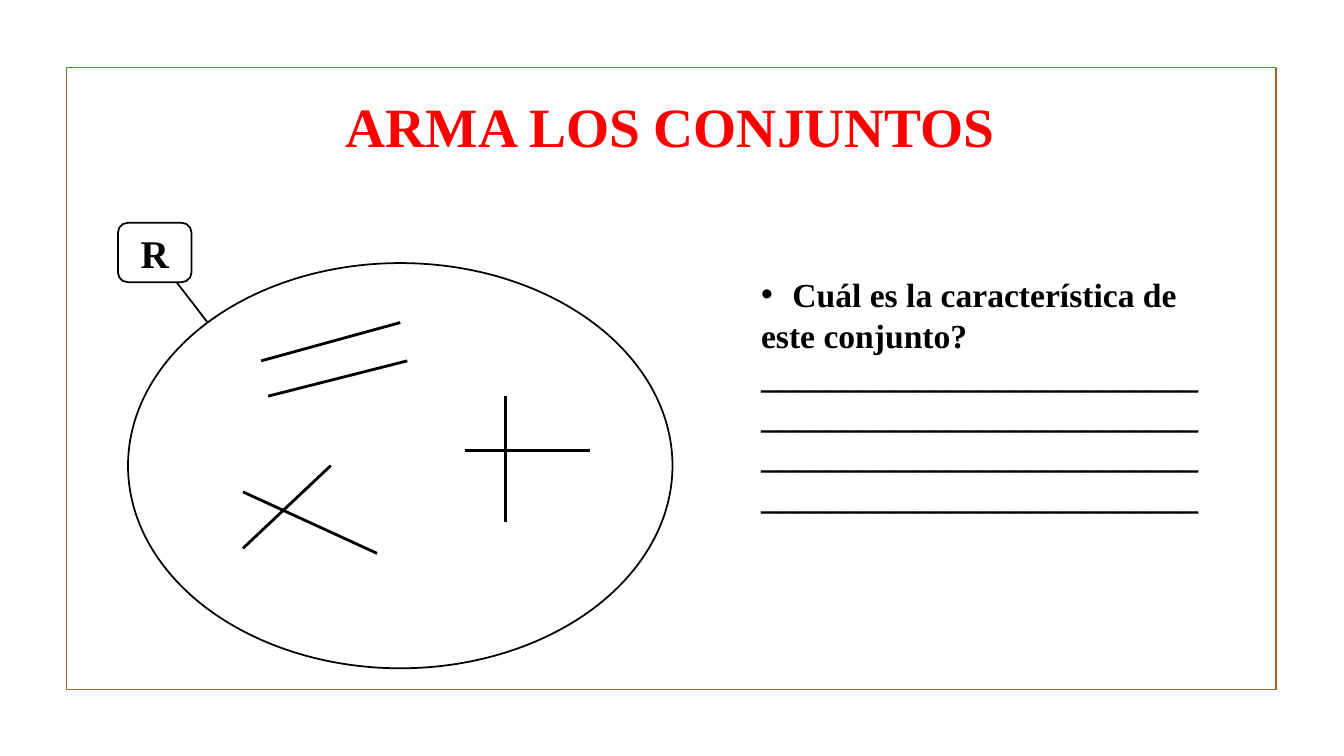
from lxml import etree
from pptx import Presentation
from pptx.dml.color import RGBColor
from pptx.enum import shapes, text
from pptx.oxml import ns
from pptx.util import Inches, Pt

FONT = "Times New Roman"
COLORS = {"frame": "B15E28", "paper": "FFFFFF", "ink": "000000", "title": "FF0000"}
BLANK_LINES = 4


def rgb(name):
    return RGBColor.from_string(COLORS[name])


def add_box(s, kind, box, line, fill="paper"):
    sp = s.shapes.add_shape(kind, *map(Inches, box))
    sp.shadow.inherit = False
    sp.fill.solid()
    sp.fill.fore_color.rgb = rgb(fill)
    sp.line.color.rgb = rgb(line)
    sp.line.width = Pt(1.25)
    return sp


def add_line(s, x1, y1, x2, y2, width):
    c = s.shapes.add_connector(shapes.MSO_CONNECTOR.STRAIGHT, *map(Inches, (x1, y1, x2, y2)))
    c.line.color.rgb = rgb("ink")
    c.line.width = Pt(width)
    etree.SubElement(c._element.spPr, ns.qn("a:effectLst"))


def style(p, size, color="ink", align=text.PP_ALIGN.LEFT):
    p.alignment = align
    for r in p.runs:
        r.font.name = FONT
        r.font.size = Pt(size)
        r.font.bold = True
        r.font.color.rgb = rgb(color)


def add_bullet(p, indent):
    pPr = p._p.get_or_add_pPr()
    pPr.set("marL", str(Inches(indent)))
    pPr.set("indent", str(Inches(-indent)))
    etree.SubElement(pPr, ns.qn("a:buFont")).set("typeface", "Arial")
    etree.SubElement(pPr, ns.qn("a:buChar")).set("char", "•")


def add_frame(s, box):
    x, y, w, h = box
    rect = shapes.MSO_SHAPE.RECTANGLE
    add_box(s, rect, box, "frame")
    add_box(s, rect, (x + 0.03, y + 0.01, w - 0.09, h - 0.03), "paper")


def add_title(s, box):
    tf = s.shapes.add_textbox(*map(Inches, box)).text_frame
    tf.word_wrap = True
    tf.vertical_anchor = text.MSO_ANCHOR.MIDDLE
    tf.text = "ARMA LOS CONJUNTOS"
    style(tf.paragraphs[0], 39.6, "title", text.PP_ALIGN.CENTER)


def add_set_diagram(s, box):
    x, y, w, h = box
    # Set outline and its label
    add_box(s, shapes.MSO_SHAPE.OVAL, (x + 0.1, y + 0.4, w - 0.1, h - 0.4), "ink")
    add_line(s, x + 0.89, y + 0.99, x + 0.52, y + 0.51, 1.25)
    label = add_box(s, shapes.MSO_SHAPE.ROUNDED_RECTANGLE, (x, y, 0.73, 0.59), "ink")
    tf = label.text_frame
    tf.vertical_anchor = text.MSO_ANCHOR.MIDDLE
    tf.text = "R"
    style(tf.paragraphs[0], 28, align=text.PP_ALIGN.CENTER)

    # Lines inside the set
    lines = [
        (1.42, 1.37, 2.8, 0.99), (1.49, 1.72, 2.87, 1.37),
        (1.24, 2.67, 2.57, 3.28), (1.24, 3.23, 2.11, 2.41),
        (3.44, 2.26, 4.68, 2.26), (3.84, 1.72, 3.84, 2.97),
    ]
    for x1, y1, x2, y2 in lines:
        add_line(s, x + x1, y + y1, x + x2, y + y2, 2)


def add_question(s, box):
    tf = s.shapes.add_textbox(*map(Inches, box)).text_frame
    tf.word_wrap = False
    tf.text = "\n".join(["Cuál es la característica de", "este conjunto?"]
                        + ["_" * 26] * BLANK_LINES)
    add_bullet(tf.paragraphs[0], 0.31)
    for p in tf.paragraphs:
        p.line_spacing = Pt(28.8)
        style(p, 24)


def main():
    prs = Presentation()
    prs.slide_width, prs.slide_height = Inches(13.33), Inches(7.5)
    s = prs.slides.add_slide(prs.slide_layouts[6])
    add_frame(s, (0.66, 0.67, 12, 6.17))
    add_title(s, (1.4, 0.87, 10.5, 0.74))
    add_set_diagram(s, (1.17, 2.21, 5.5, 4.42))
    add_question(s, (7.45, 2.67, 4.75, 2.52))
    prs.save("out.pptx")


if __name__ == "__main__":
    main()
